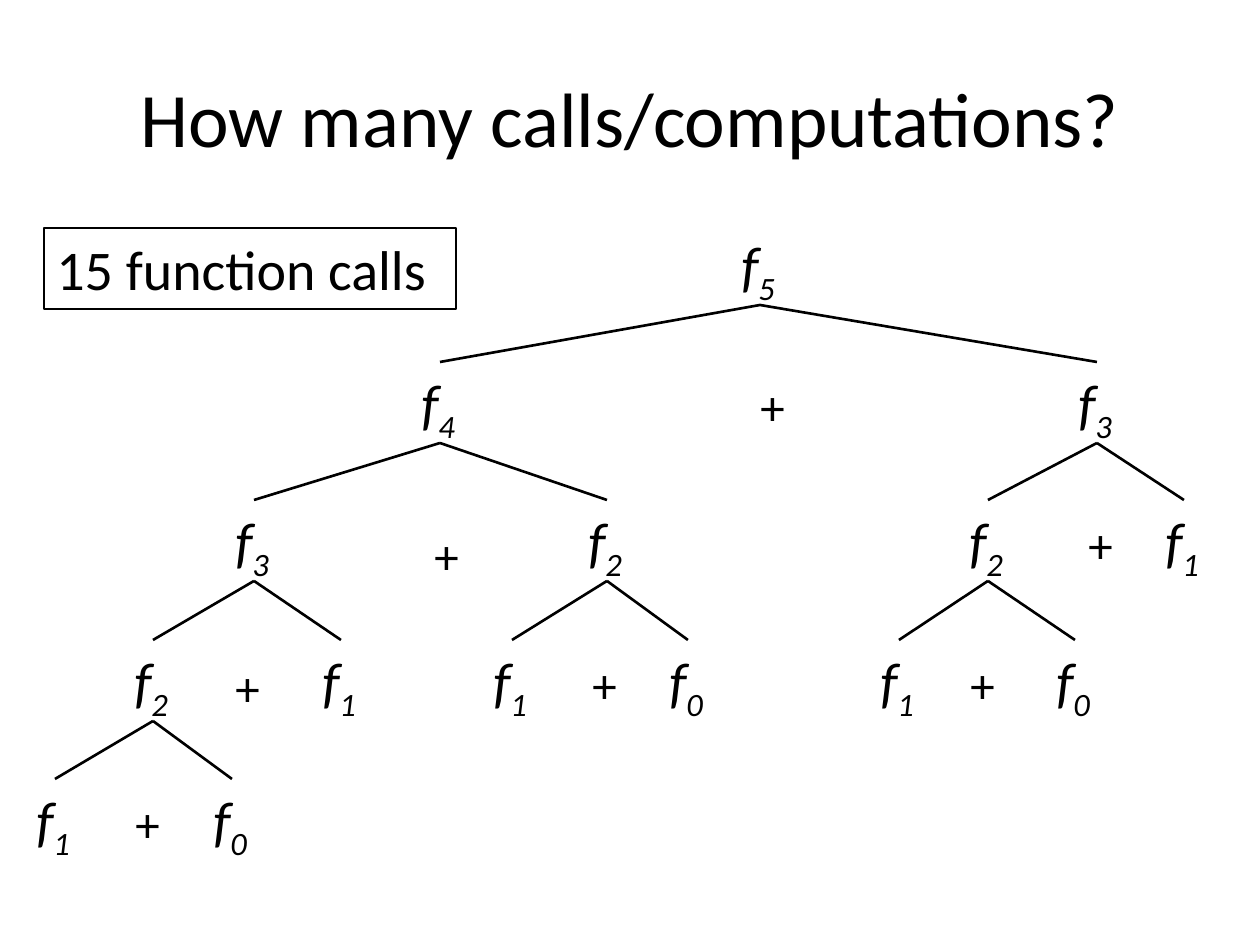
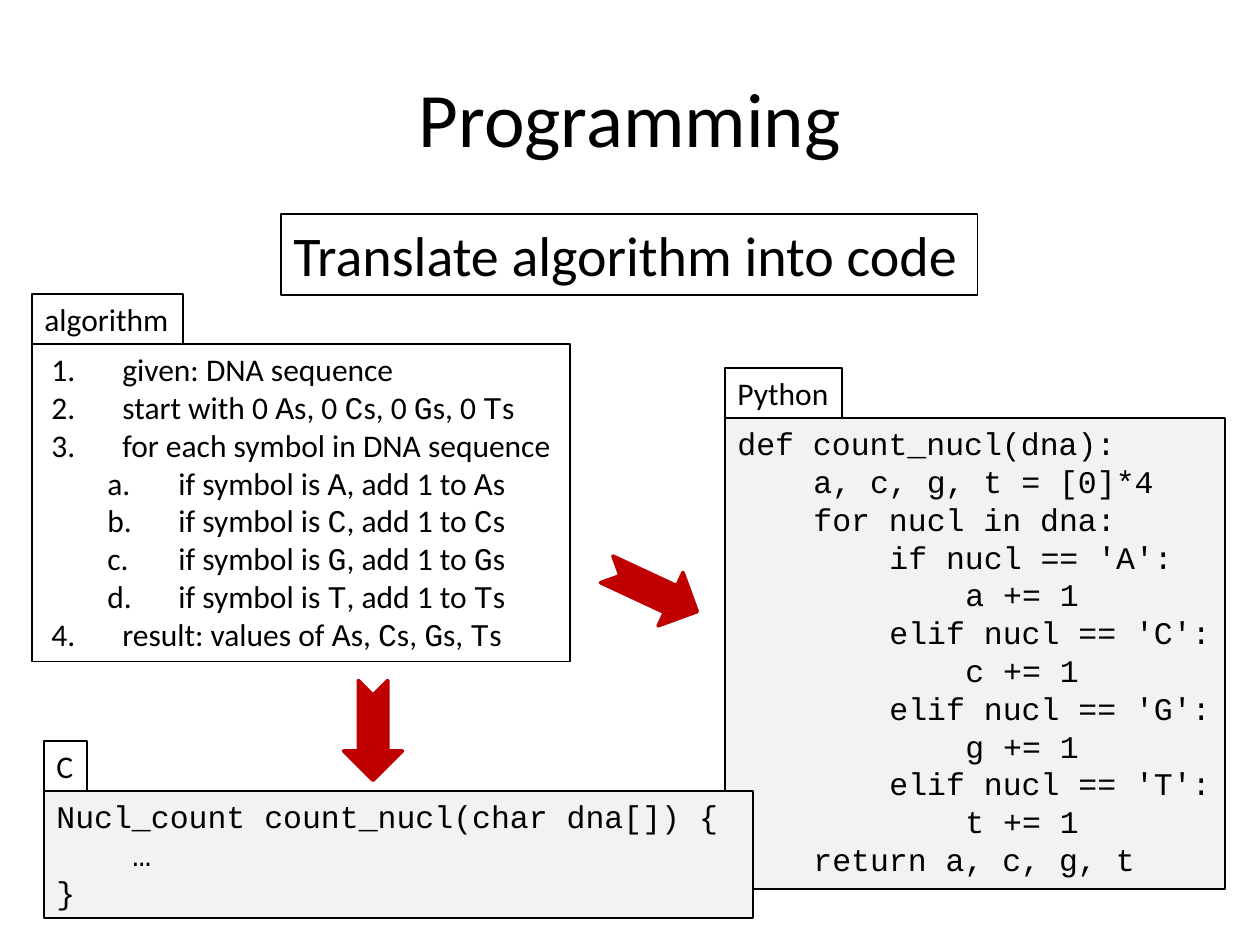
from lxml.etree import SubElement
from pptx import Presentation
from pptx.dml.color import RGBColor
from pptx.enum.shapes import MSO_CONNECTOR, MSO_SHAPE
from pptx.enum.text import MSO_ANCHOR, MSO_AUTO_SIZE, PP_ALIGN
from pptx.oxml import parse_xml
from pptx.oxml.ns import nsdecls, qn
from pptx.util import Inches, Pt

BLACK = RGBColor(0x00, 0x00, 0x00)
CODE_GREY = RGBColor(0xF2, 0xF2, 0xF2)
ARROW_RED = RGBColor(0xC0, 0x00, 0x00)
BODY_FONT = "Calibri"
CODE_FONT = "Courier New"
PX = Inches(1) // 126
CODE_INDENT = 19


def add_box(page, bounds, text, size=18, font=BODY_FONT, outlined=True, fill=None):
    box = page.shapes.add_textbox(*[value * PX for value in bounds])
    frame = box.text_frame
    frame.word_wrap = False
    frame.auto_size = MSO_AUTO_SIZE.SHAPE_TO_FIT_TEXT
    if outlined:
        box.line.color.rgb = BLACK
        box.line.width = Pt(0.75)
    if fill is not None:
        box.fill.solid()
        box.fill.fore_color.rgb = fill
    for index, line in enumerate(text.split("\n")):
        para = frame.add_paragraph() if index else frame.paragraphs[0]
        para.font.name = font
        para.font.size = Pt(size)
        para.font.color.rgb = BLACK
        words = line.lstrip()
        indent = (len(line) - len(words)) * CODE_INDENT
        if indent:
            properties = para._p.get_or_add_pPr()
            properties.set("marL", str(indent * PX))
            properties.set("indent", "0")
        for part in words.split("`"):
            para.add_run().text = part
    return box


def add_node(page, number, center, top):
    box = add_box(page, (center - 31, top, 62, 81), f"f`{number}", 32, outlined=False)
    para = box.text_frame.paragraphs[0]
    para.font.italic = True
    para.runs[1]._r.get_or_add_rPr().set("baseline", "-25000")


deck = Presentation()
deck.slide_width = 1260 * PX
deck.slide_height = 945 * PX

pages = []
for title in ("How many calls/computations?", "Programming"):
    page = deck.slides.add_slide(deck.slide_layouts[6])
    box = add_box(page, (63, 38, 1134, 158), title, 44, outlined=False)
    box.text_frame.word_wrap = True
    box.text_frame.auto_size = MSO_AUTO_SIZE.NONE
    box.text_frame.vertical_anchor = MSO_ANCHOR.MIDDLE
    box.text_frame.paragraphs[0].alignment = PP_ALIGN.CENTER
    pages.append(page)
tree_page, code_page = pages

ROW_TOPS = (224, 362, 500, 640, 779)
NODE_HEIGHT = 81
CALLS = (
    (0, 5, 760, (440, 1097), 748, 8),
    (1, 4, 440, (254, 607), 422, 19),
    (1, 3, 1097, (988, 1184), 1076, 8),
    (2, 3, 254, (153, 341), 223, 11),
    (2, 2, 607, (512, 688), 580, 8),
    (2, 2, 988, (899, 1075), 958, 8),
    (3, 2, 153, (55, 232), 123, 8),
)
add_node(tree_page, 5, 760, ROW_TOPS[0])
for row, number, center, children, plus_left, plus_drop in CALLS:
    child_top = ROW_TOPS[row + 1]
    for step, child_center in enumerate(children, start=1):
        add_node(tree_page, number - step, child_center, child_top)
        branch = tree_page.shapes.add_connector(
            MSO_CONNECTOR.STRAIGHT,
            center * PX, (ROW_TOPS[row] + NODE_HEIGHT) * PX,
            child_center * PX, child_top * PX,
        )
        branch.line.color.rgb = BLACK
        branch.line.width = Pt(1.5)
        SubElement(branch._element.spPr, qn("a:effectLst"))
    add_box(tree_page, (plus_left, child_top + plus_drop, 50, 72), "+", 28, outlined=False)
add_box(tree_page, (44, 228, 412, 81), "15 function calls", 32)

ALGORITHM = (
    (0, "given: DNA sequence"),
    (0, "start with 0 `A`s, 0 `C`s, 0 `G`s, 0 `T`s"),
    (0, "for each symbol in DNA sequence"),
    *((1, f"if symbol is `{base}`, add 1 to `{base}`s") for base in "ACGT"),
    (0, "result: values of `A`s, `C`s, `G`s, `T`s"),
)
NUMBERING = (("arabicPeriod", 78), ("alphaLcPeriod", 134))
PYTHON_CODE = """def count_nucl(dna):
    a, c, g, t = [0]*4
    for nucl in dna:
        if nucl == 'A':
            a += 1
        elif nucl == 'C':
            c += 1
        elif nucl == 'G':
            g += 1
        elif nucl == 'T':
            t += 1
    return a, c, g, t"""
C_CODE = """Nucl_count count_nucl(char dna[]) {
    …
}"""

add_box(code_page, (281, 214, 697, 81), "Translate algorithm into code", 32)
add_box(code_page, (32, 294, 151, 50), "algorithm")
steps = add_box(code_page, (32, 344, 538, 318), "\n".join(text for level, text in ALGORITHM))
for para, (level, text) in zip(steps.text_frame.paragraphs, ALGORITHM):
    scheme, margin = NUMBERING[level]
    para.level = level
    properties = para._p.get_or_add_pPr()
    properties.set("marL", str(margin * PX))
    properties.set("indent", str(-71 * PX))
    properties.insert(0, parse_xml(f'<a:buAutoNum {nsdecls("a")} type="{scheme}"/>'))
    for span in para.runs[1::2]:
        span.font.name = CODE_FONT

add_box(code_page, (725, 418, 500, 471), PYTHON_CODE, font=CODE_FONT, fill=CODE_GREY)
add_box(code_page, (725, 368, 117, 50), "Python")
for left, top, angle in ((602, 561, 25), (323, 701, 90)):
    arrow = code_page.shapes.add_shape(
        MSO_SHAPE.NOTCHED_RIGHT_ARROW, left * PX, top * PX, 100 * PX, 59 * PX
    )
    arrow.rotation = angle
    arrow.shadow.inherit = False
    arrow.fill.solid()
    arrow.fill.fore_color.rgb = ARROW_RED
    arrow.line.color.rgb = ARROW_RED
    arrow.line.width = Pt(2)
add_box(code_page, (44, 791, 709, 127), C_CODE, font=CODE_FONT, fill=CODE_GREY)
add_box(code_page, (44, 741, 43, 50), "C")

deck.save("out.pptx")
